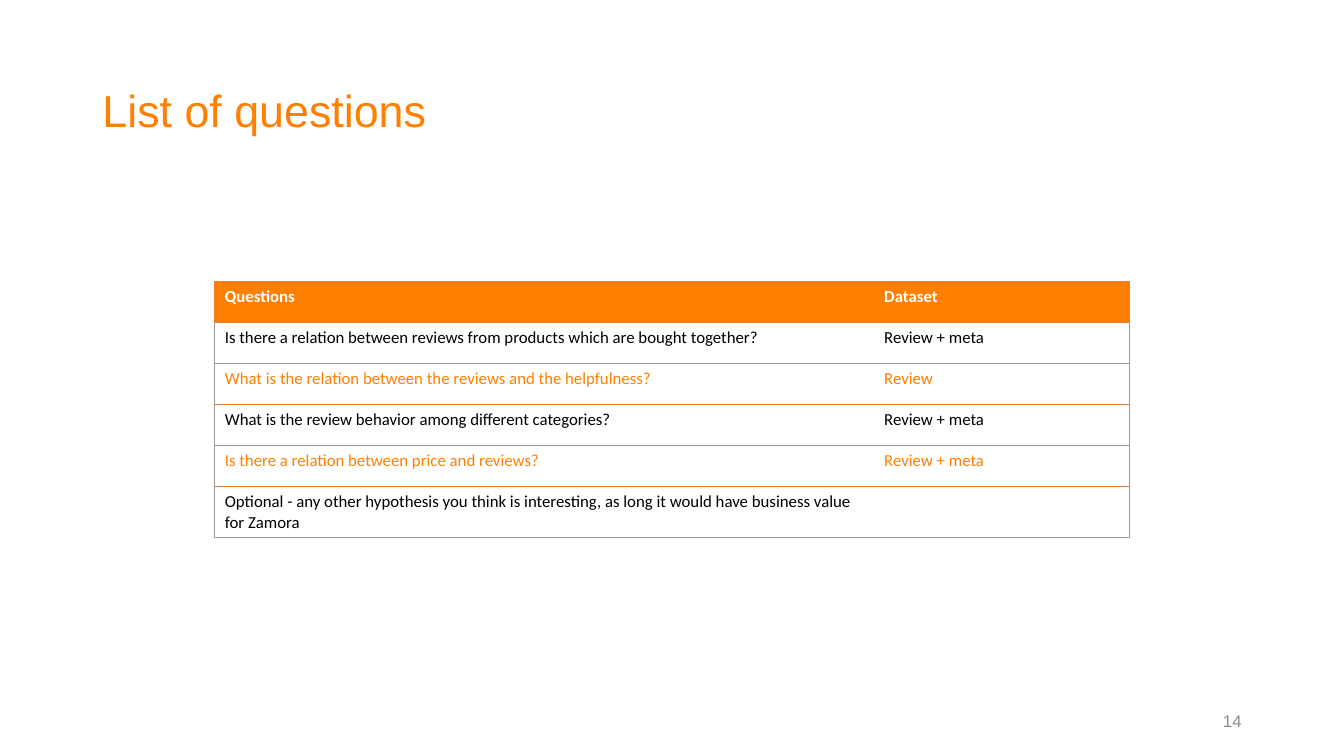
from lxml import etree
from pptx import Presentation
from pptx import util as u
from pptx.dml import color
from pptx.enum import text
from pptx.oxml import ns

Pt = u.Pt
ORANGE, RULE, GREY = "FF8000", "ED7D31", "999999"
WHITE, BLACK = "FFFFFF", "000000"

ROWS = [
    ("Questions", "Dataset"),
    ("Is there a relation between reviews from products which are bought together?",
     "Review + meta"),
    ("What is the relation between the reviews and the helpfulness?", "Review"),
    ("What is the review behavior among different categories?", "Review + meta"),
    ("Is there a relation between price and reviews?", "Review + meta"),
    ("Optional - any other hypothesis you think is interesting, as long it would "
     "have business value for Zamora", ""),
]
COL_WIDTHS = (471, 182)
ROW_HEIGHT = 29.3


def rgb(value):
    return color.RGBColor.from_string(value)


def write(tf, content, fill, align=text.PP_ALIGN.LEFT, **font):
    p = tf.paragraphs[0]
    p.alignment = align
    r = p.add_run() if content else p
    if content:
        r.text = content
    for name, value in font.items():
        setattr(r.font, name, value)
    r.font.color.rgb = rgb(fill)


def place(sp, left, top, width, height):
    box = {"left": left, "top": top, "width": width, "height": height}
    for name, value in box.items():
        setattr(sp, name, Pt(value))


def set_borders(cell, **edges):
    """Draw each edge (L, R, T, B) in its colour, or leave it clear for None."""
    tcPr = cell._tc.get_or_add_tcPr()
    for edge, line in edges.items():
        ln = etree.SubElement(tcPr, ns.qn(f"a:ln{edge}"), w=str(Pt(0.5)))
        if line:
            fill = etree.SubElement(ln, ns.qn("a:solidFill"))
            etree.SubElement(fill, ns.qn("a:srgbClr"), val=line)
        else:
            etree.SubElement(ln, ns.qn("a:noFill"))


def add_title(slide, content):
    sp = slide.shapes.title
    place(sp, 66, 28.8, 828, 104.4)
    sp.text_frame.vertical_anchor = text.MSO_ANCHOR.MIDDLE
    write(sp.text_frame, content, ORANGE, name="Arial", size=Pt(32))
    sp.text_frame.paragraphs[0].line_spacing = 0.9


def add_questions(slide):
    frame = slide.shapes.add_table(len(ROWS), len(COL_WIDTHS), Pt(153.4), Pt(201.2),
                                   Pt(sum(COL_WIDTHS)), Pt(ROW_HEIGHT * len(ROWS)))
    table = frame.table
    table.first_row = table.horz_banding = False
    for column, width in zip(table.columns, COL_WIDTHS):
        column.width = Pt(width)

    # Rules below the rows alternate between orange and grey
    rules = [RULE] + [GREY if i % 2 else RULE for i in range(len(ROWS))]
    rules[1:] = [RULE if i % 2 == 0 else GREY for i in range(len(ROWS))]
    for i, row in enumerate(ROWS):
        table.rows[i].height = Pt(ROW_HEIGHT)
        header = i == 0
        side = RULE if header else GREY
        ink = WHITE if header else BLACK if i % 2 else ORANGE
        for j, content in enumerate(row):
            cell = table.cell(i, j)
            set_borders(cell, L=None if j else side, R=side if j else None,
                        T=rules[i], B=rules[i + 1])
            if header:
                cell.fill.solid()
                cell.fill.fore_color.rgb = rgb(ORANGE)
            else:
                cell.fill.background()
            write(cell.text_frame, content, ink, name="Calibri", size=Pt(12), bold=header)


def add_page_number(slide, number):
    sp = slide.shapes.add_textbox(0, 0, 0, 0)
    place(sp, 678, 500.5, 216, 28.8)
    tf = sp.text_frame
    tf.word_wrap = True
    tf.vertical_anchor = text.MSO_ANCHOR.MIDDLE
    write(tf, number, "8C8C8C", text.PP_ALIGN.RIGHT, name="Arial", size=Pt(12))


def main():
    prs = Presentation()
    prs.slide_width, prs.slide_height = Pt(960), Pt(540)
    slide = prs.slides.add_slide(prs.slide_layouts[5])
    add_title(slide, "List of questions")
    add_questions(slide)
    add_page_number(slide, "14")
    prs.save("out.pptx")


if __name__ == "__main__":
    main()
